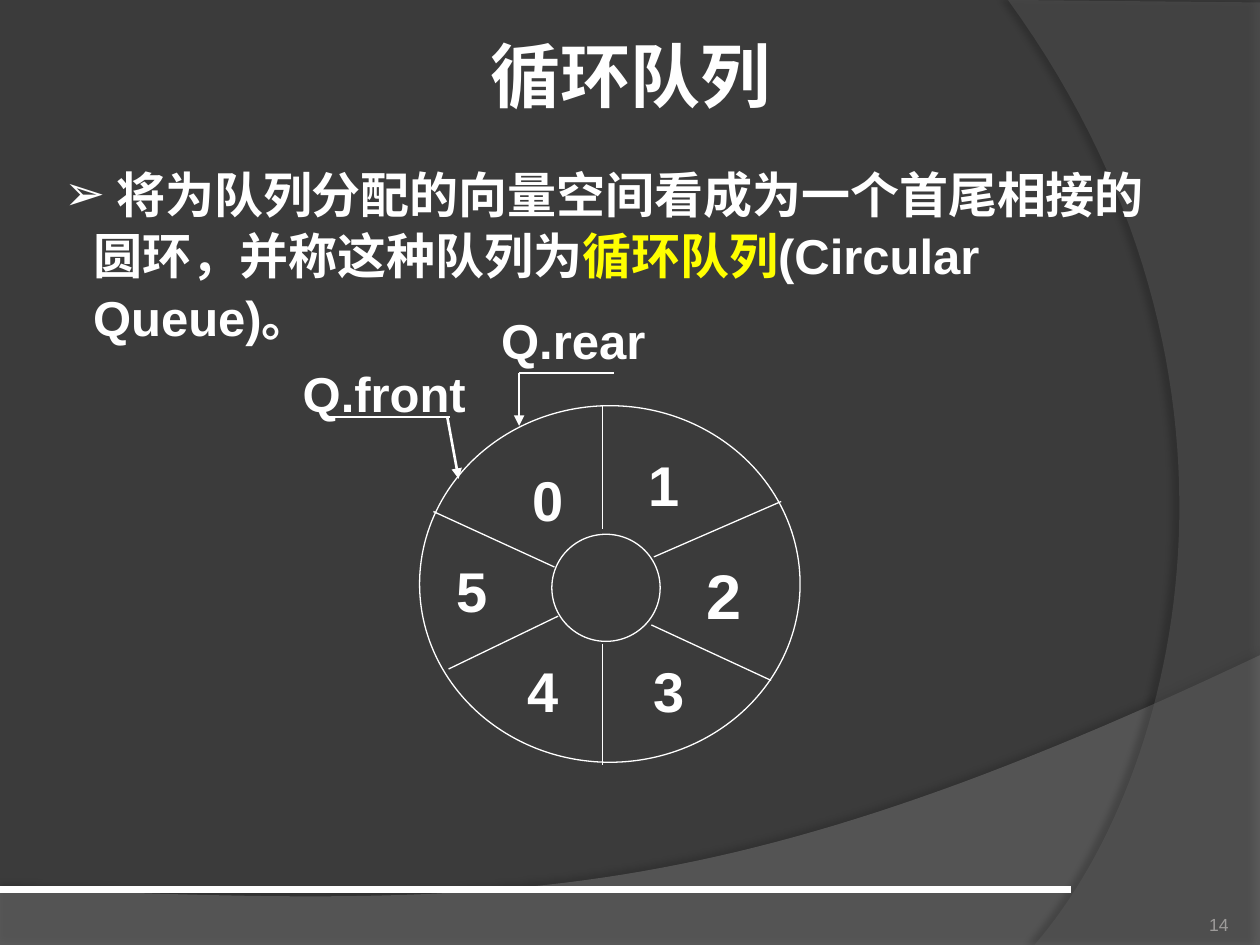
from typing import NamedTuple

from lxml import etree
from pptx import Presentation
from pptx.dml.color import RGBColor
from pptx.enum.shapes import MSO_CONNECTOR, MSO_SHAPE
from pptx.enum.text import MSO_ANCHOR, MSO_AUTO_SIZE, PP_ALIGN
from pptx.oxml import parse_xml
from pptx.oxml.ns import nsdecls, qn
from pptx.util import Inches, Pt

WHITE = RGBColor(0xFF, 0xFF, 0xFF)
YELLOW = RGBColor(0xFF, 0xFF, 0x00)
DARK = RGBColor(0x3B, 0x3B, 0x3B)
SWOOSH = RGBColor(0x7F, 0x7F, 0x7F)
CRESCENT = RGBColor(0x5E, 0x5E, 0x5E)
NUMBER = RGBColor(0x9D, 0x9B, 0x9A)
LATIN, CJK = "Arial", "Noto Sans CJK JP"

Point = tuple[float, float]


class Panel(NamedTuple):
    start: Point
    points: list[Point]
    color: RGBColor
    opacity: int
    shadow_opacity: int
    shadow_dist: float
    shadow_angle: int


class Line(NamedTuple):
    start: Point
    end: Point
    width: float = 0.75
    arrow: bool = False


class Label(NamedTuple):
    text: str
    center: Point
    size: int = 32
    width: float = 0.54
    height: float = 0.42


def curve(a: Point, b: Point, c: Point, d: Point, steps: int = 60) -> list[Point]:
    """Points along a cubic Bezier curve, without its start."""
    pts = []
    for i in range(1, steps + 1):
        t = i / steps
        u = 1 - t
        weights = (u**3, 3 * u * u * t, 3 * u * t * t, t**3)
        pts.append(tuple(sum(w * p[k] for w, p in zip(weights, (a, b, c, d)))
                         for k in (0, 1)))
    return pts


PANELS = [
    Panel((0, 7.05), [(0, 7.51), (10, 7.51), (10, 5.2)]
          + curve((10, 5.2), (5.59, 7.29), (3.91, 7.19), (0, 7.05)),
          SWOOSH, 45, 35, 3.5, 270),
    Panel((10, 0.02), [(10, 7.5), (8.21, 7.5)]
          + curve((8.21, 7.5), (9.35, 6.19), (10.18, 3), (8, 0)),
          CRESCENT, 40, 45, 4, 180),
]
RINGS = [(4.38, 4.24, 0.86, 0.85), (3.33, 3.22, 3.02, 2.83)]
LINES = [
    # Ring dividers
    Line((4.78, 3.22), (4.78, 4.2)),
    Line((4.78, 5.11), (4.78, 6.07)),
    Line((5.19, 4.42), (6.2, 3.98)),
    Line((3.56, 5.31), (4.43, 4.89)),
    Line((5.17, 4.96), (6.12, 5.4)),
    Line((3.44, 4.06), (4.4, 4.5)),
    # Pointers
    Line((2.6, 3.31), (3.57, 3.31), 1.5),
    Line((3.55, 3.31), (3.64, 3.8), 1.5, True),
    Line((4.12, 2.96), (4.87, 2.96), 1.5),
    Line((4.12, 2.96), (4.12, 3.38), 1.5, True),
]
LABELS = [
    Label("0", (4.35, 3.96)),
    Label("1", (5.27, 3.84)),
    Label("2", (5.75, 4.72), 36),
    Label("3", (5.31, 5.48)),
    Label("4", (4.31, 5.48)),
    Label("5", (3.75, 4.68)),
    Label("Q.front", (3.05, 3.12), 28, 1.6, 0.53),
    Label("Q.rear", (4.55, 2.7), 28, 1.6, 0.53),
]


def add_run(p, text: str, size: int, color: RGBColor = WHITE,
            bold: bool = True, font: str = LATIN) -> None:
    r = p.add_run()
    r.text = text
    r.font.size, r.font.bold, r.font.name = Pt(size), bold, font
    r.font.color.rgb = color
    ea = etree.SubElement(r.font._element, qn("a:ea"))
    ea.set("typeface", CJK)


def place(sp, left: float, top: float, width: float, height: float) -> None:
    sp.left, sp.top = Inches(left), Inches(top)
    sp.width, sp.height = Inches(width), Inches(height)


def set_margins(tf, inset: float) -> None:
    tf.margin_left = tf.margin_right = Inches(inset)
    tf.margin_top = tf.margin_bottom = Inches(inset)


def add_panel(shapes, panel: Panel) -> None:
    x, y = panel.start
    fb = shapes.build_freeform(Inches(x), Inches(y))
    fb.add_line_segments([(Inches(x), Inches(y)) for x, y in panel.points])
    sp = fb.convert_to_shape()
    sp.fill.solid()
    sp.fill.fore_color.rgb = panel.color
    sp.line.fill.background()
    clr = sp._element.spPr.find(qn("a:solidFill"))[0]
    etree.SubElement(clr, qn("a:alpha")).set("val", str(panel.opacity * 1000))
    sp._element.spPr.append(parse_xml(
        f'<a:effectLst {nsdecls("a")}><a:outerShdw blurRad="{Pt(4)}" '
        f'dist="{Pt(panel.shadow_dist)}" dir="{panel.shadow_angle * 60000}">'
        f'<a:srgbClr val="000000"><a:alpha val="{panel.shadow_opacity * 1000}"/>'
        '</a:srgbClr></a:outerShdw></a:effectLst>'))


def add_line(shapes, line: Line) -> None:
    cx = shapes.add_connector(MSO_CONNECTOR.STRAIGHT,
                              *map(Inches, line.start + line.end))
    cx.line.color.rgb, cx.line.width = WHITE, Pt(line.width)
    if line.arrow:
        etree.SubElement(cx.line._get_or_add_ln(), qn("a:tailEnd")).set("type", "triangle")
    etree.SubElement(cx._element.spPr, qn("a:effectLst"))


def add_ring(shapes, left: float, top: float, width: float, height: float) -> None:
    sp = shapes.add_shape(MSO_SHAPE.OVAL, *map(Inches, (left, top, width, height)))
    sp.fill.background()
    sp.line.color.rgb, sp.line.width = WHITE, Pt(0.75)
    sp.shadow.inherit = False


def add_label(shapes, label: Label) -> None:
    x, y = label.center
    w, h = label.width, label.height
    sp = shapes.add_textbox(*map(Inches, (x - w / 2, y - h / 2, w, h)))
    tf = sp.text_frame
    tf.word_wrap, tf.vertical_anchor = False, MSO_ANCHOR.MIDDLE
    p = tf.paragraphs[0]
    p.alignment = PP_ALIGN.CENTER
    add_run(p, label.text, label.size)


prs = Presentation()
prs.slide_width, prs.slide_height = Inches(10), Inches(7.5)
s = prs.slides.add_slide(prs.slide_layouts[1])
s.background.fill.solid()
s.background.fill.fore_color.rgb = DARK
title, body = s.shapes.title, s.placeholders[1]

# Backdrop, kept behind the placeholders
for panel in PANELS:
    add_panel(s.shapes, panel)
add_line(s.shapes, Line((0, 7.06), (8.5, 7.06), 4.5))
for sp in (title, body):
    sp._element.getparent().append(sp._element)

# Title
place(title, 1.17, 0.12, 7.67, 0.95)
tf = title.text_frame
set_margins(tf, 0.05)
tf.vertical_anchor = MSO_ANCHOR.MIDDLE
p = tf.paragraphs[0]
p.alignment = PP_ALIGN.CENTER
add_run(p, "循环队列", 40, font=CJK)

# Slide number
sp = s.shapes.add_textbox(*map(Inches, (8.92, 7.02, 0.83, 0.4)))
tf = sp.text_frame
set_margins(tf, 0)
tf.word_wrap, tf.vertical_anchor = True, MSO_ANCHOR.BOTTOM
p = tf.paragraphs[0]
p.alignment = PP_ALIGN.RIGHT
add_run(p, "14", 10, NUMBER, bold=False)

# Definition
place(body, 0.41, 1.23, 9, 1.09)
tf = body.text_frame
tf.auto_size = MSO_AUTO_SIZE.NONE
p = tf.paragraphs[0]
p.line_spacing, p.space_before = 1.05, Pt(0)
pPr = p._p.get_or_add_pPr()
pPr.set("marL", str(Inches(0.23)))
pPr.set("indent", str(-Inches(0.23)))
etree.SubElement(pPr, qn("a:buChar")).set("char", "➢")
add_run(p, " 将为队列分配的向量空间看成为一个首尾相接的圆环，并称这种队列为", 28)
add_run(p, "循环队列", 28, YELLOW)
add_run(p, "(Circular Queue)。", 28)

# Circular queue
for ring in RINGS:
    add_ring(s.shapes, *ring)
for line in LINES:
    add_line(s.shapes, line)
for label in LABELS:
    add_label(s.shapes, label)

prs.save("out.pptx")
